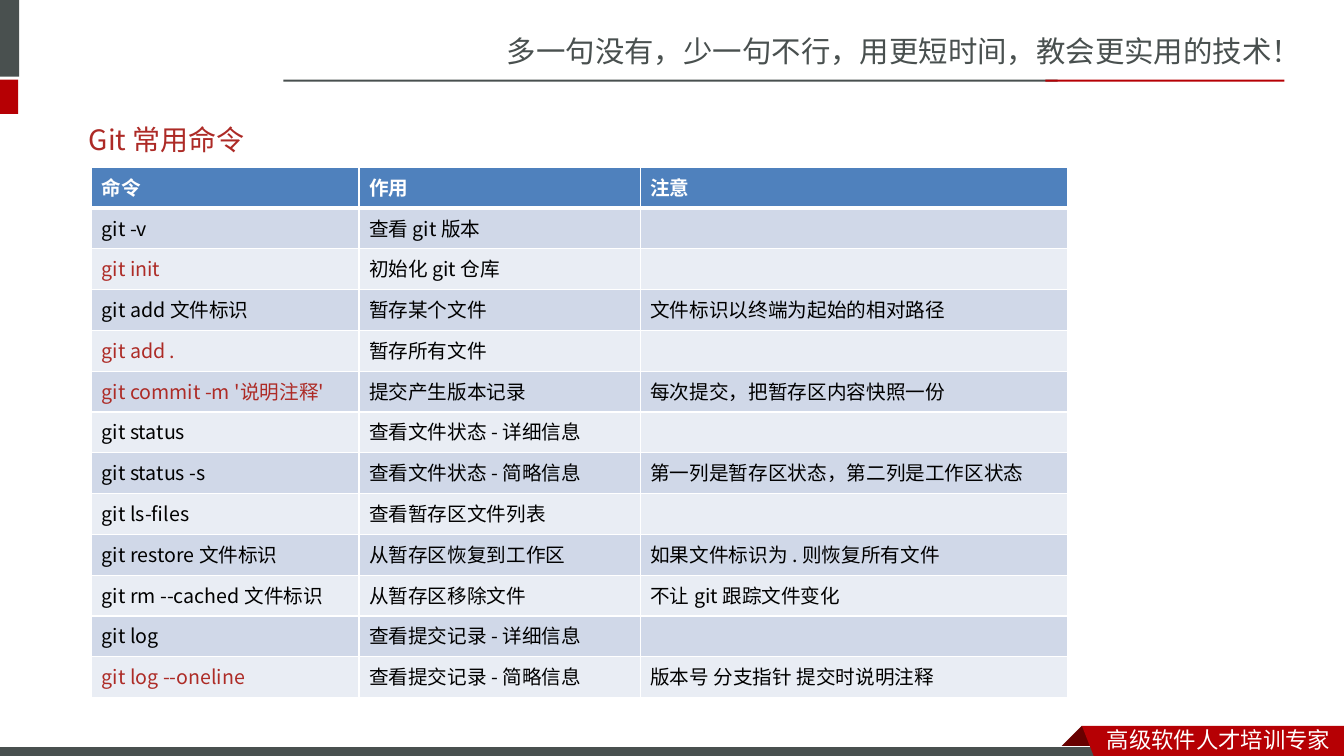
import pptx
import pptx.util
import pptx.dml.color
import pptx.enum.shapes
import pptx.enum.text
import pptx.oxml
import pptx.oxml.ns

RGBColor = pptx.dml.color.RGBColor
SLATE = RGBColor(0x49, 0x50, 0x4F)
RED = RGBColor(0xB6, 0x00, 0x04)
DARK_RED = RGBColor(0x68, 0x00, 0x00)
TITLE_RED = RGBColor(0xAD, 0x2A, 0x26)
KEY_RED = RGBColor(0xAD, 0x2B, 0x26)
WHITE = RGBColor(0xFF, 0xFF, 0xFF)
BLACK = RGBColor(0x00, 0x00, 0x00)
HEADER_BLUE = RGBColor(0x4F, 0x81, 0xBD)
BANDS = (RGBColor(0xE9, 0xED, 0xF4), RGBColor(0xD0, 0xD8, 0xE8))

SLIDE_WIDTH = pptx.util.Inches(13.33)
SLIDE_HEIGHT = pptx.util.Inches(7.5)
BODY_FONT = "Noto Sans CJK JP"
FRAME_FONT = "Noto Sans CJK SC"

# Table grid, in percent of the slide's width and height
TABLE_LEFT, TABLE_TOP = 6.83, 22.13
COLUMN_WIDTHS = (19.88, 20.93, 31.81)
ROW_HEIGHT = 5.4

HEADINGS = ("命令", "作用", "注意")
COMMANDS = (
    ("git -v", "查看 git 版本", ""),
    ("git init", "初始化 git 仓库", ""),
    ("git add 文件标识", "暂存某个文件", "文件标识以终端为起始的相对路径"),
    ("git add .", "暂存所有文件", ""),
    ("git commit -m '说明注释'", "提交产生版本记录", "每次提交，把暂存区内容快照一份"),
    ("git status", "查看文件状态 - 详细信息", ""),
    ("git status -s", "查看文件状态 - 简略信息", "第一列是暂存区状态，第二列是工作区状态"),
    ("git ls-files", "查看暂存区文件列表", ""),
    ("git restore 文件标识", "从暂存区恢复到工作区", "如果文件标识为 . 则恢复所有文件"),
    ("git rm --cached 文件标识", "从暂存区移除文件", "不让 git 跟踪文件变化"),
    ("git log", "查看提交记录 - 详细信息", ""),
    ("git log --oneline", "查看提交记录 - 简略信息", "版本号 分支指针 提交时说明注释"),
)
KEY_COMMANDS = ("git init", "git add .", "git commit -m '说明注释'", "git log --oneline")


def across(percent):
    return round(SLIDE_WIDTH * percent / 100)


def down(percent):
    return round(SLIDE_HEIGHT * percent / 100)


def area(left, top, width, height):
    return across(left), down(top), across(width), down(height)


def write(text_frame, text, size, color, typeface, bold=False):
    """Put one line of text in a frame, with its font set for all scripts."""
    paragraph = text_frame.paragraphs[0]
    paragraph.alignment = pptx.enum.text.PP_ALIGN.LEFT
    if text:
        paragraph.add_run().text = text
    font = paragraph.font
    font.size = pptx.util.Pt(size)
    font.bold = bold
    font.color.rgb = color
    font.name = typeface
    defaults = paragraph._p.pPr.find(pptx.oxml.ns.qn("a:defRPr"))
    defaults.append(pptx.oxml.parse_xml(
        f'<a:ea {pptx.oxml.ns.nsdecls("a")} typeface="{typeface}"/>'))


def paint(shape, color, outline=None):
    shape.shadow.inherit = False
    shape.fill.solid()
    shape.fill.fore_color.rgb = color
    if outline is None:
        shape.line.fill.background()
    else:
        shape.line.color.rgb = outline
        shape.line.width = pptx.util.Pt(0.75)


def add_bar(slide, place, color, outline=None):
    rectangle = pptx.enum.shapes.MSO_SHAPE.RECTANGLE
    paint(slide.shapes.add_shape(rectangle, *area(*place)), color, outline)


def add_outline(slide, corners, color):
    start, *others = [(across(x), down(y)) for x, y in corners]
    builder = slide.shapes.build_freeform(*start)
    builder.add_line_segments(others, close=True)
    paint(builder.convert_to_shape(), color)


def add_label(slide, place, text, size, color):
    frame = slide.shapes.add_textbox(*area(*place)).text_frame
    frame.word_wrap = True
    write(frame, text, size, color, FRAME_FONT)


def set_borders(cell, top, bottom):
    """Draw white cell edges; side edges are 1 pt wide."""
    properties = cell._tc.get_or_add_tcPr()
    edges = (("lnL", 1), ("lnR", 1), ("lnT", top), ("lnB", bottom))
    for position, (edge, points) in enumerate(edges):
        properties.insert(position, pptx.oxml.parse_xml(
            f'<a:{edge} {pptx.oxml.ns.nsdecls("a")} w="{pptx.util.Pt(points)}">'
            f'<a:solidFill><a:srgbClr val="{WHITE}"/></a:solidFill></a:{edge}>'))


def add_command_table(slide):
    rows = (HEADINGS,) + COMMANDS
    place = area(TABLE_LEFT, TABLE_TOP, sum(COLUMN_WIDTHS), ROW_HEIGHT * len(rows))
    table = slide.shapes.add_table(len(rows), len(HEADINGS), *place).table
    for column, width in zip(table.columns, COLUMN_WIDTHS):
        column.width = across(width)
    for r, texts in enumerate(rows):
        table.rows[r].height = down(ROW_HEIGHT)
        header = r == 0
        for c, text in enumerate(texts):
            cell = table.cell(r, c)
            cell.fill.solid()
            cell.fill.fore_color.rgb = HEADER_BLUE if header else BANDS[r % 2]
            set_borders(cell, top=3 if r == 1 else 1, bottom=3 if header else 1)
            color = WHITE if header else KEY_RED if text in KEY_COMMANDS else BLACK
            write(cell.text_frame, text, 14, color, BODY_FONT, bold=header)


def add_header(slide):
    add_label(slide, (36.98, 3.73, 63.09, 6.27),
              "多一句没有，少一句不行，用更短时间，教会更实用的技术！", 21, SLATE)
    # Side tabs
    add_bar(slide, (-0.45, 0, 1.88, 10.13), SLATE)
    add_bar(slide, (-0.45, 10.53, 1.8, 4.53), RED)
    # Rule under the slogan
    add_bar(slide, (21.08, 10.53, 57.61, 0.27), SLATE)
    add_bar(slide, (77.79, 10.53, 17.78, 0.27), RED)


def add_footer(slide):
    # Folded corner, bottom bar and ribbon
    add_outline(slide, ((80.5, 96), (82.15, 98.93), (82.07, 99.07),
                        (78.92, 99.07), (78.84, 98.93)), DARK_RED)
    add_bar(slide, (-0.08, 98.8, 82.52, 1.6), SLATE, outline=WHITE)
    add_outline(slide, ((80.5, 96), (100, 96), (100, 100.53), (81.47, 100.4)), RED)
    add_label(slide, (81.62, 95.33, 18.38, 4.93), "高级软件人才培训专家", 16, WHITE)


def add_title(slide):
    title = slide.shapes.title
    title.left, title.top, title.width, title.height = area(5.85, 14.67, 87.92, 7.6)
    title.text_frame.vertical_anchor = pptx.enum.text.MSO_ANCHOR.MIDDLE
    write(title.text_frame, "Git 常用命令", 20, TITLE_RED, BODY_FONT)


def main():
    presentation = pptx.Presentation()
    presentation.slide_width = SLIDE_WIDTH
    presentation.slide_height = SLIDE_HEIGHT
    title_only = presentation.slide_layouts[5]
    slide = presentation.slides.add_slide(title_only)
    add_header(slide)
    add_footer(slide)
    add_title(slide)
    add_command_table(slide)
    presentation.save("out.pptx")


if __name__ == "__main__":
    main()
